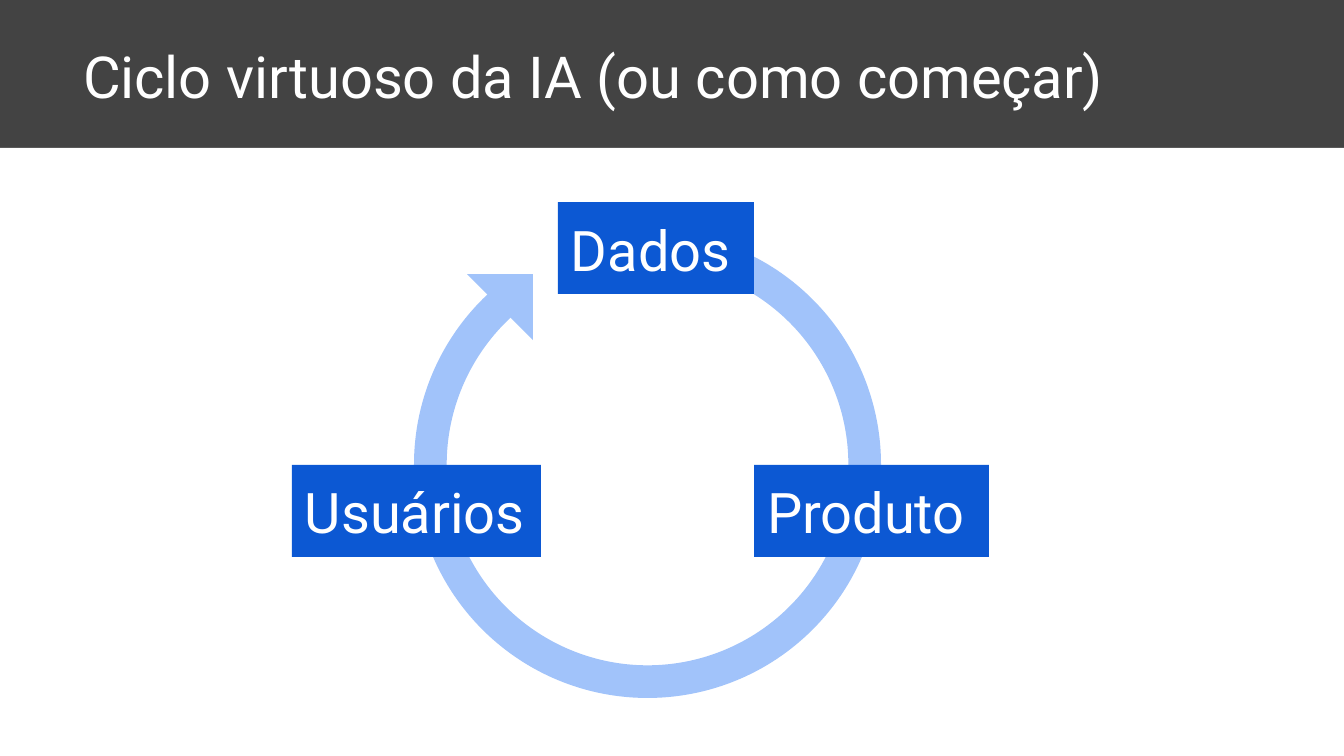
from pptx import Presentation
from pptx.dml.color import RGBColor
from pptx.enum.shapes import MSO_SHAPE
from pptx.enum.text import MSO_ANCHOR, PP_ALIGN
from pptx.util import Emu, Pt

RECTANGLE = MSO_SHAPE.RECTANGLE
BLOCK_ARC = MSO_SHAPE.BLOCK_ARC
RIGHT_TRIANGLE = MSO_SHAPE.RIGHT_TRIANGLE
MIDDLE = MSO_ANCHOR.MIDDLE
TOP = MSO_ANCHOR.TOP
LEFT = PP_ALIGN.LEFT

EMU_PER_PX = 914400 / 134.4
TITLE_ONLY = 5


def px(length):
    return Emu(round(length * EMU_PER_PX))


def color(value):
    return RGBColor.from_string(value)


class CycleSlide:
    font = "Roboto"
    dark = "434343"
    white = "FFFFFF"
    blue = "0C58D3"
    light_blue = "A1C3FA"
    inset = 13

    def __init__(self, deck):
        self.slide = deck.slides.add_slide(deck.slide_layouts[TITLE_ONLY])
        fill = self.slide.background.fill
        fill.solid()
        fill.fore_color.rgb = color(self.dark)

    def set_text(self, shape, text, size, anchor):
        frame = shape.text_frame
        frame.text = text
        frame.word_wrap = True
        frame.vertical_anchor = anchor
        frame.margin_left = frame.margin_right = px(self.inset)
        frame.margin_top = frame.margin_bottom = px(self.inset)
        para = frame.paragraphs[0]
        para.alignment = LEFT
        span = para.runs[0]
        span.font.name = self.font
        span.font.size = Pt(size)
        span.font.color.rgb = color(self.white)

    def title(self, text, left, top, width, height):
        title = self.slide.shapes.title
        title.left, title.top = px(left), px(top)
        title.width, title.height = px(width), px(height)
        self.set_text(title, text, 31, MIDDLE)

    def shape(self, kind, fill, left, top, width, height, rotation=0):
        shape = self.slide.shapes.add_shape(
            kind, px(left), px(top), px(width), px(height))
        shape.shadow.inherit = False
        shape.fill.solid()
        shape.fill.fore_color.rgb = color(fill)
        shape.line.fill.background()
        shape.rotation = rotation
        return shape

    def panel(self, top, width, height):
        self.shape(RECTANGLE, self.white, 0, top, width, height)

    def circular_arrow(self, left, top, diameter):
        arc = self.shape(BLOCK_ARC, self.light_blue, left, top,
                         diameter, diameter, 180)
        for index, value in enumerate((54, 30.13, 0.07)):
            arc.adjustments[index] = value
        self.shape(RIGHT_TRIANGLE, self.light_blue, left + 53, top + 43,
                   66, 66, 180)

    def step(self, text, left, top, width):
        box = self.shape(RECTANGLE, self.blue, left, top, width, 92)
        self.set_text(box, text, 30, TOP)


def main():
    deck = Presentation()
    deck.slide_width, deck.slide_height = px(1344), px(756)
    page = CycleSlide(deck)
    page.panel(148, 1344, 608)
    page.title("Ciclo virtuoso da IA (ou como começar)", 70, 19, 1208, 113)
    page.circular_arrow(414, 231, 467)
    for text, left, top, width in (
        ("Produto", 754, 465, 235),
        ("Dados", 558, 202, 196),
        ("Usuários", 292, 465, 249),
    ):
        page.step(text, left, top, width)
    deck.save("out.pptx")


if __name__ == "__main__":
    main()
